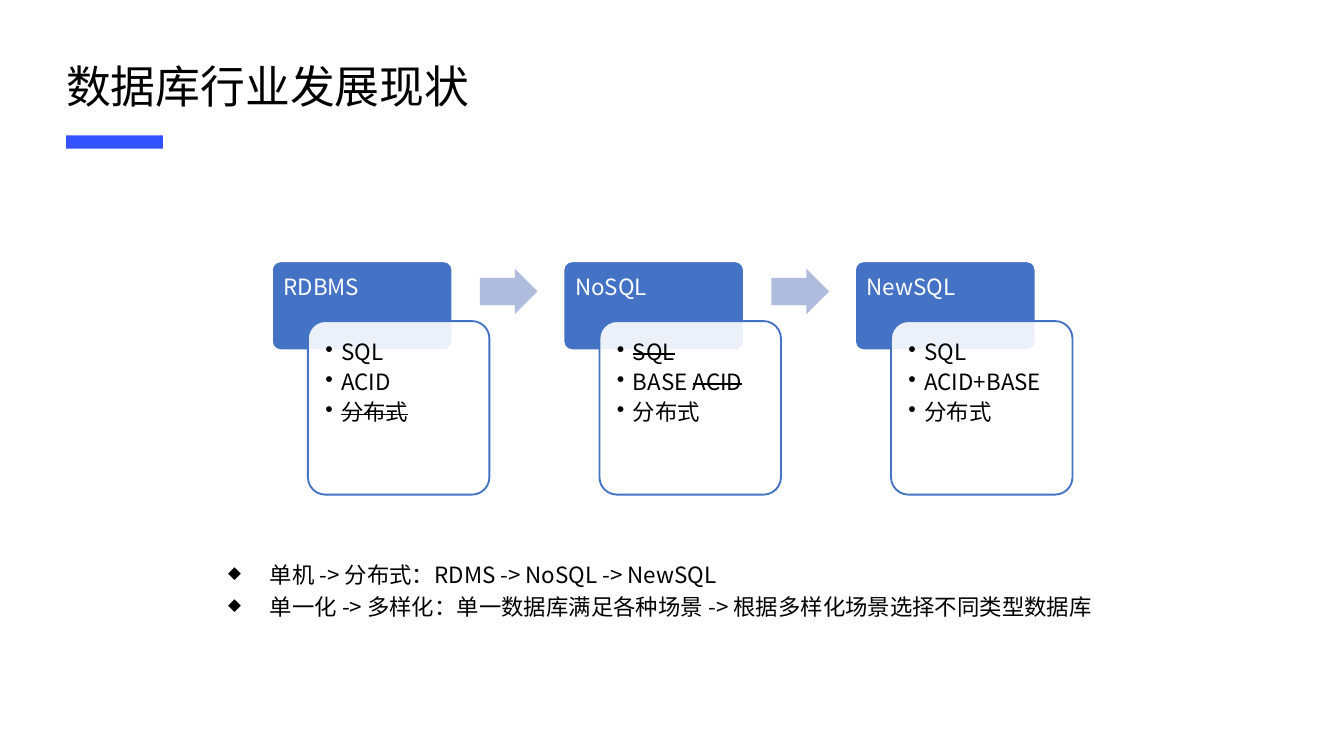
from lxml import etree
from pptx import Presentation
from pptx import util as u
from pptx.dml import color
from pptx.enum import shapes
from pptx.oxml import ns

FONT = "Noto Sans CJK SC"
BLUE, PALE, BLACK, WHITE = "4472C4", "B0BCDE", "000000", "FFFFFF"
KIND = shapes.MSO_SHAPE


def paint(item, tone):
    item.rgb = color.RGBColor.from_string(tone)


def add(node, tag, **attrs):
    return etree.SubElement(node, ns.qn(tag), attrs)


class Deck:
    def __init__(self, slide):
        self.slide = slide

    def shape(self, kind, box, fill, line=None, width=1, adjust=(), alpha=None):
        item = self.slide.shapes.add_shape(kind, *map(u.Cm, box))
        item.shadow.inherit = False
        item.fill.solid()
        paint(item.fill.fore_color, fill)
        for i, value in enumerate(adjust):
            item.adjustments[i] = value
        if line:
            paint(item.line.color, line)
            item.line.width = u.Pt(width)
        else:
            item.line.fill.background()
        if alpha:
            tone = item.fill._xPr.find(ns.qn("a:solidFill"))[0]
            add(tone, "a:alpha", val=str(alpha * 1000))

    def text(self, box, lines, size=12, tone=BLACK, pad=0.23, pitch=14.3,
             after=0, mark=None, scale=100, indent=0.3, wrap=True):
        frame = self.slide.shapes.add_textbox(*map(u.Cm, box)).text_frame
        frame.word_wrap = wrap
        frame.margin_left = frame.margin_right = u.Cm(0.25 if not wrap else pad)
        frame.margin_top = frame.margin_bottom = u.Cm(pad)
        for i, line in enumerate(lines):
            para = frame.add_paragraph() if i else frame.paragraphs[0]
            para.line_spacing = u.Pt(pitch)
            para.space_after = u.Pt(after)
            if mark:
                self.bullet(para, mark, scale, indent)
            para.font.size = u.Pt(size)
            paint(para.font.fill.fore_color if para.font.fill.solid() else para.font.color, tone)
            para.font.name = FONT
            base = para._p.pPr.find(ns.qn("a:defRPr"))
            add(base, "a:ea", typeface=FONT)
            for j, part in enumerate(line.split("~")):
                if part:
                    run = para.add_run()
                    run.text = part
                    if j % 2:
                        run._r.get_or_add_rPr().set("strike", "sngStrike")

    def bullet(self, para, mark, scale, indent):
        props = para._p.get_or_add_pPr()
        props.set("marL", str(u.Cm(indent)))
        props.set("indent", str(-u.Cm(indent)))
        add(add(props, "a:buClr"), "a:srgbClr", val=BLACK)
        add(props, "a:buSzPct", val=str(scale * 1000))
        add(props, "a:buChar", char=mark)

    def stage(self, x, name, traits):
        top = 4.93
        self.shape(KIND.ROUNDED_RECTANGLE, (x, top, 3.43, 1.7), BLUE, WHITE, 1.5, [0.1])
        self.text((x, top, 3.43, 1.14), [name], tone=WHITE)
        self.shape(KIND.ROUNDED_RECTANGLE, (x + 0.69, top + 1.14, 3.43, 3.28),
                   WHITE, BLUE, 1, [0.1], 90)
        self.text((x + 0.79, top + 1.24, 3.25, 3.1), traits, after=1.8, mark="•")

    def arrow(self, x):
        self.shape(KIND.RIGHT_ARROW, (x, 5.08, 1.09, 0.86), PALE, adjust=[0.6, 0.5])


def main():
    show = Presentation()
    show.slide_width, show.slide_height = u.Cm(25.4), u.Cm(14.29)
    deck = Deck(show.slides.add_slide(show.slide_layouts[6]))

    deck.shape(KIND.RECTANGLE, (1.25, 2.56, 1.83, 0.25), "3351FF")
    deck.text((1, 0.86, 16.71, 1.52), ["数据库行业发展现状"], size=24, pad=0.25, pitch=28.6)

    stages = [
        ("RDBMS", ["SQL", "ACID", "~分布式"]),
        ("NoSQL", ["~SQL", "BASE ~ACID", "分布式"]),
        ("NewSQL", ["SQL", "ACID+BASE", "分布式"]),
    ]
    for i, (name, traits) in enumerate(stages):
        x = 5.13 + 5.51 * i
        deck.stage(x, name, traits)
        if i < len(stages) - 1:
            deck.arrow(x + 3.94)

    deck.text((4.06, 10.39, 17.27, 1.47), [
        "单机 -> 分布式：RDMS -> NoSQL -> NewSQL",
        "单一化 -> 多样化：单一数据库满足各种场景 -> 根据多样化场景选择不同类型数据库",
    ], pad=0.13, pitch=17.1, mark="◆", scale=75, indent=0.79, wrap=False)

    show.save("out.pptx")


if __name__ == "__main__":
    main()
